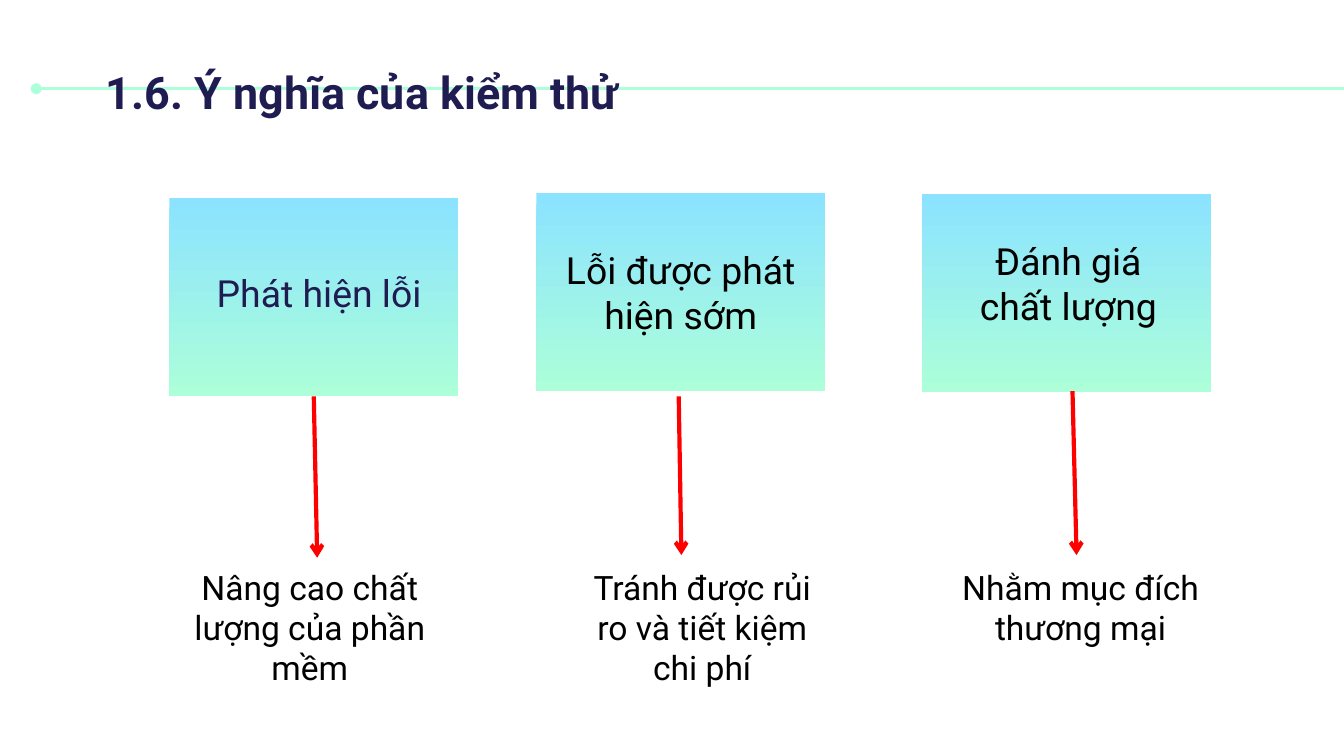
from pptx import Presentation
from pptx.dml.color import RGBColor
from pptx.enum.shapes import MSO_CONNECTOR, MSO_SHAPE
from pptx.enum.text import MSO_ANCHOR, MSO_AUTO_SIZE, PP_ALIGN
from pptx.oxml.ns import qn
from pptx.util import Inches, Pt
from lxml import etree

NAVY = RGBColor(0x1F, 0x1C, 0x51)
BLACK = RGBColor(0x00, 0x00, 0x00)
SKY = RGBColor(0x8B, 0xE3, 0xFF)
MINT = RGBColor(0xAC, 0xFF, 0xD9)
RED = RGBColor(0xFF, 0x00, 0x00)


class SlideBuilder:
    font = "Roboto"

    def __init__(self, slide):
        self.s = slide

    def box(self, x, y, w, h):
        sp = self.s.shapes.add_shape(
            MSO_SHAPE.RECTANGLE, Inches(x), Inches(y), Inches(w), Inches(h))
        sp.shadow.inherit = False
        sp.line.fill.background()
        sp.fill.gradient()
        sp.fill.gradient_angle = 270
        for stop, color, pos in zip(sp.fill.gradient_stops, (SKY, MINT), (0, 1)):
            stop.color.rgb = color
            stop.position = pos
        return sp

    def text(self, x, y, w, h, text, size, color=BLACK, bold=False,
             align=PP_ALIGN.CENTER, anchor=MSO_ANCHOR.MIDDLE,
             indent=0, inset=0.05, grow=True):
        sp = self.s.shapes.add_textbox(Inches(x), Inches(y), Inches(w), Inches(h))
        tf = sp.text_frame
        tf.text = text
        tf.word_wrap = True
        tf.auto_size = MSO_AUTO_SIZE.SHAPE_TO_FIT_TEXT if grow else MSO_AUTO_SIZE.NONE
        tf.vertical_anchor = anchor
        tf.margin_top = tf.margin_bottom = Inches(inset)
        p = tf.paragraphs[0]
        p.alignment = align
        if indent:
            pPr = p._p.get_or_add_pPr()
            pPr.set("marL", str(Inches(indent)))
            pPr.set("indent", "0")
        font = p.runs[0].font
        font.name, font.size, font.bold = self.font, Pt(size), bold
        font.color.rgb = color

    def line(self, start, end, color, width, end_tag, end_type, source=None):
        x1, y1, x2, y2 = (Inches(v) for v in (*start, *end))
        cn = self.s.shapes.add_connector(MSO_CONNECTOR.STRAIGHT, x1, y1, x2, y2)
        if source is not None:
            cn.begin_connect(source, 2)
        cn.line.color.rgb = color
        cn.line.width = Pt(width)
        ln = cn.line._get_or_add_ln()
        etree.SubElement(ln, qn(end_tag)).set("type", end_type)
        etree.SubElement(cn._element.spPr, qn("a:effectLst"))


def main():
    prs = Presentation()
    # 16:9 slide
    prs.slide_width, prs.slide_height = Inches(10), Inches(10 * 9 / 16)
    b = SlideBuilder(prs.slides.add_slide(prs.slide_layouts[6]))

    # Title with its rule
    b.line((0.27, 0.66), (10.1, 0.66), MINT, 1.5, "a:headEnd", "oval")
    b.text(0.69, 0.38, 8.49, 0.59, "1.6. Ý nghĩa của kiểm thử", 24, NAVY, bold=True,
           align=PP_ALIGN.LEFT, anchor=MSO_ANCHOR.TOP, inset=0.1, grow=False)

    # Gradient boxes
    find_box = b.box(1.26, 1.47, 2.15, 1.48)
    b.box(6.86, 1.44, 2.15, 1.48)
    b.box(3.99, 1.44, 2.15, 1.47)

    # Box captions
    b.text(1.34, 1.69, 1.92, 0.98, "Phát hiện lỗi", 20, NAVY,
           indent=0.15, inset=0.1, grow=False)
    b.text(6.94, 1.72, 1.9, 0.77, "Đánh giá chất lượng", 20, indent=0.12)
    b.text(4.09, 1.62, 1.95, 1.11, "Lỗi được phát hiện sớm", 20)

    # Outcomes
    b.text(1.23, 4.15, 2.15, 1.03, "Nâng cao chất lượng của phần mềm", 18)
    b.text(4.09, 4.16, 2.15, 1.01, "Tránh được rủi ro và tiết kiệm chi phí", 18,
           indent=0.12)
    b.text(6.77, 4.16, 2.42, 0.71, "Nhằm mục đích thương mại", 18, indent=0.12)

    # Arrows from boxes to outcomes
    for start, end, source in (
            ((2.34, 2.95), (2.36, 4.15), find_box),
            ((5.05, 2.95), (5.07, 4.13), None),
            ((7.98, 2.91), (8.01, 4.13), None)):
        b.line(start, end, RED, 2.25, "a:tailEnd", "arrow", source)

    prs.save("out.pptx")


if __name__ == "__main__":
    main()
